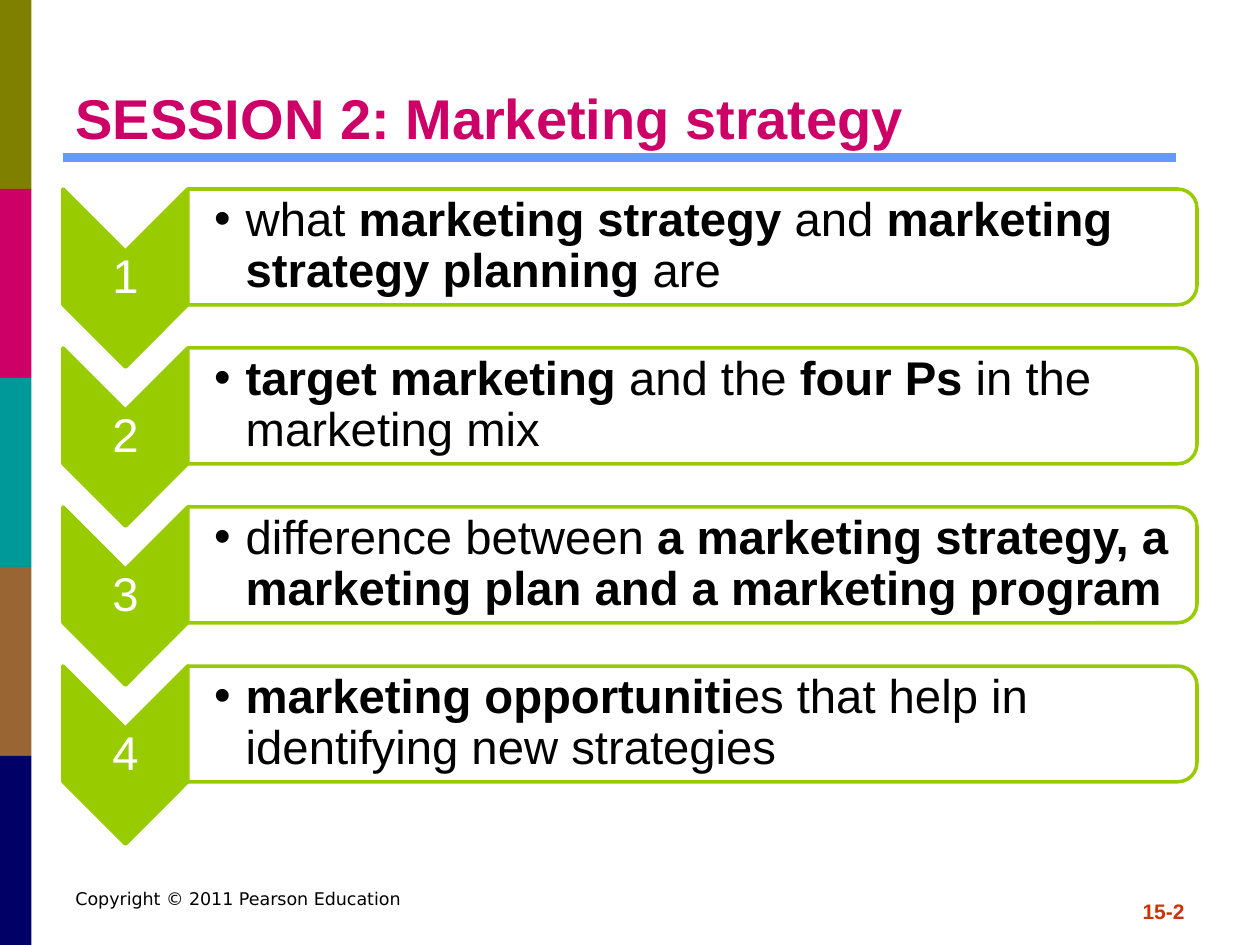
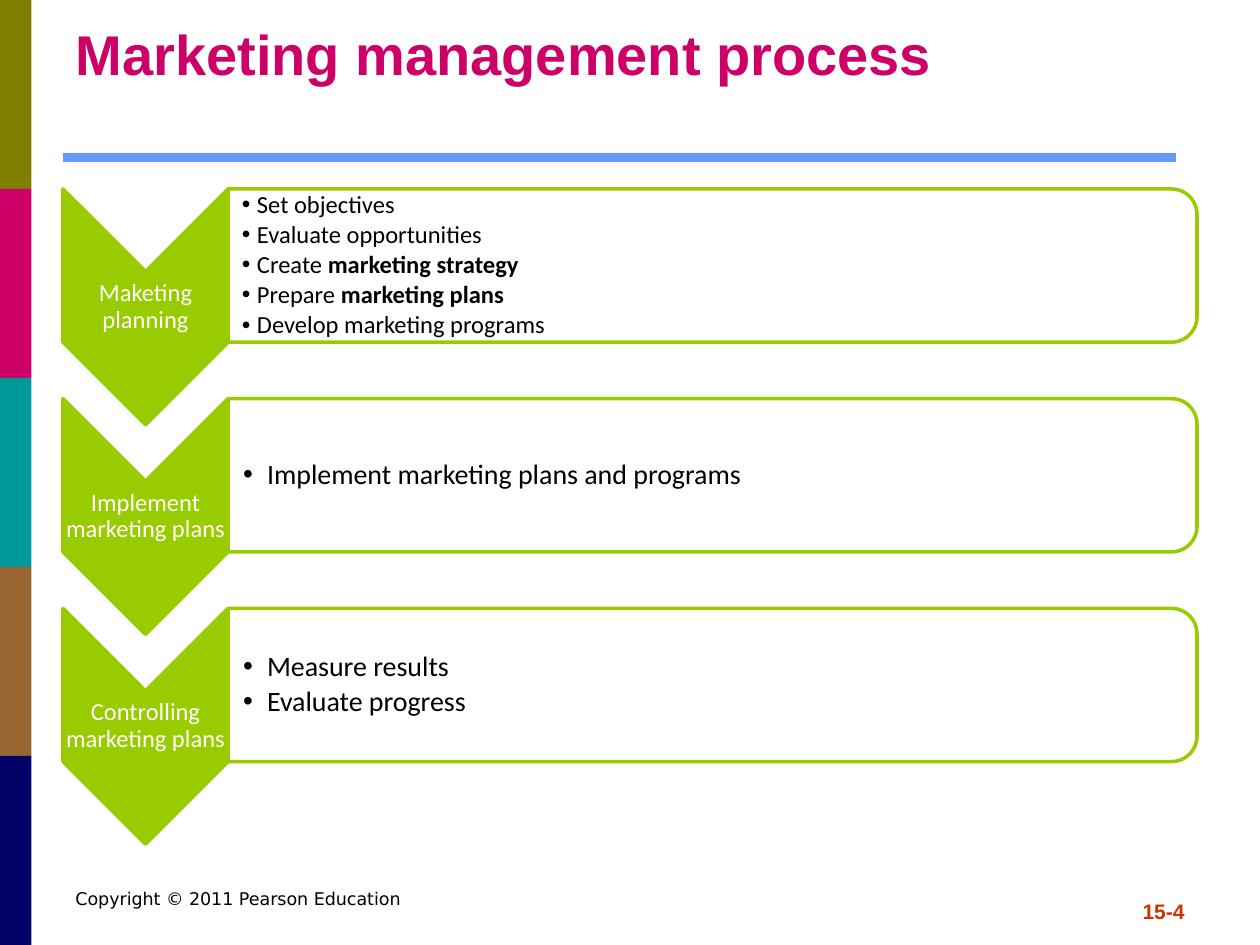
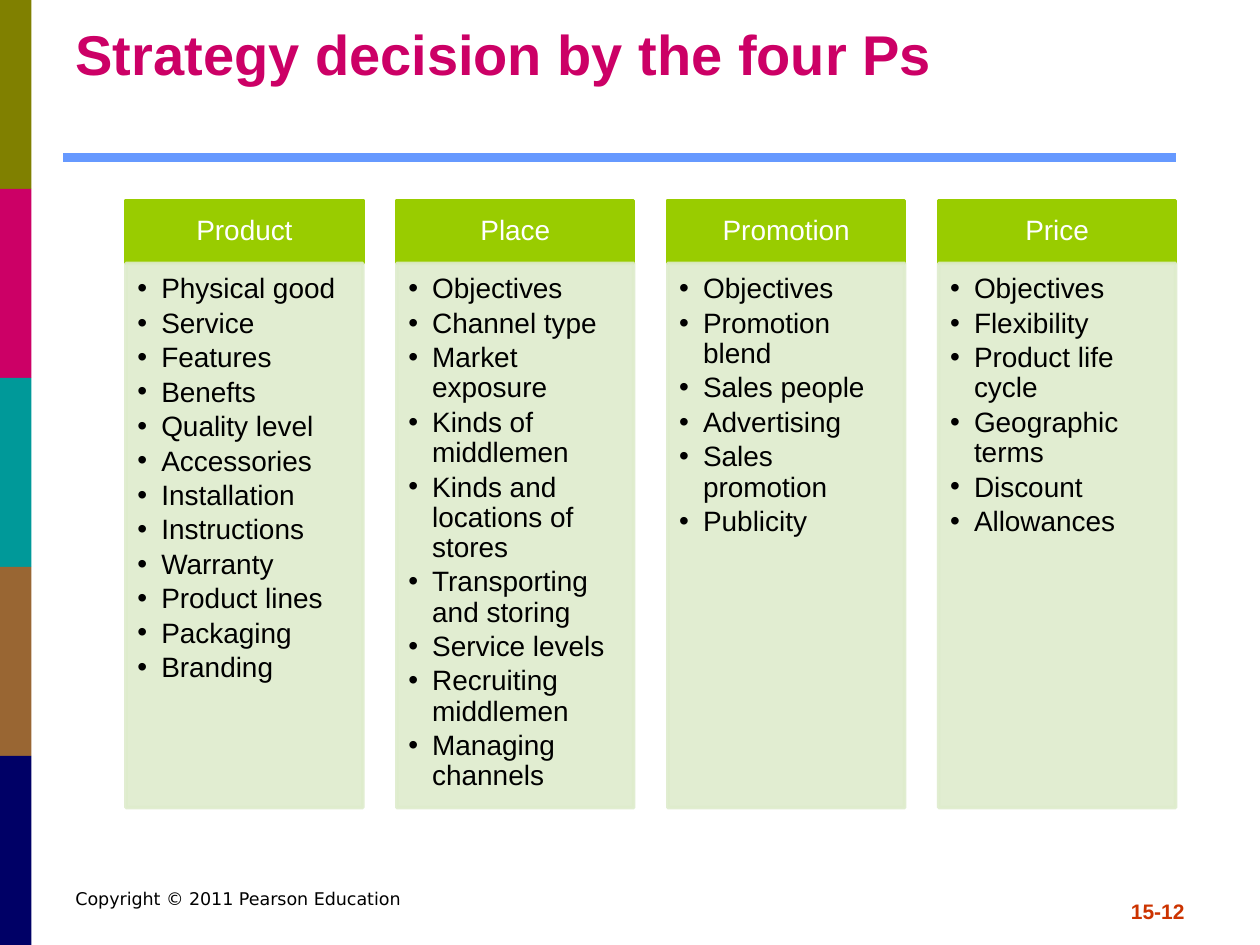
from lxml.etree import SubElement
from pptx import Presentation
from pptx.dml.color import RGBColor
from pptx.enum.shapes import MSO_CONNECTOR, MSO_SHAPE
from pptx.enum.text import MSO_ANCHOR as Anchor, PP_ALIGN as Align
from pptx.oxml.ns import qn
from pptx.util import Inches, Pt

COLORS = {
    "title": "CC0066", "rule": "6699FF", "accent": "99CC00", "tint": "DEECCC",
    "white": "FFFFFF", "text": "000000", "number": "CC3300",
}
BANDS = ["808000", "CC0066", "009999", "996633", "000066"]
WIDTH, HEIGHT = 10, 7.5
MARGIN = 0.5
LIST_TOP, LIST_HEIGHT = 1.5, 5.2
CHEVRON_RATIO, PANEL_RATIO, PANEL_PADDING = 0.7, 0.65, 0.05
COLUMN_LEFT, COLUMN_WIDTH, COLUMN_PITCH = 1, 1.88, 2.15
HEADER_TOP, HEADER_HEIGHT, BODY_HEIGHT = 1.59, 0.5, 4.32
COPYRIGHT = "Copyright © 2011 Pearson Education"

SESSION = {
    "title": "SESSION 2: Marketing strategy", "number": "15-2",
    "column": 0.99, "label_size": 27, "label_inset": 0.02, "font": "Arial",
    "rows": [
        ("1", ["what **marketing strategy **and **marketing strategy planning** are"], 27, 0.25, 0.21),
        ("2", ["**target marketing **and the **four Ps** in the marketing mix"], 27, 0.25, 0.21),
        ("3", ["difference between **a marketing strategy, a marketing plan and a marketing program**"],
         27, 0.25, 0.21),
        ("4", ["**marketing opportuniti**es that help in identifying new strategies"], 27, 0.25, 0.21),
    ],
}
PROCESS = {
    "title": "Marketing management process", "number": "15-4",
    "column": 1.31, "label_size": 14, "label_inset": 0.01, "font": "Calibri",
    "rows": [
        ("Maketing planning",
         ["Set objectives", "Evaluate opportunities", "Create **marketing strategy**",
          "Prepare **marketing plans**", "Develop marketing programs"], 14, 0.12, 0.11),
        ("Implement marketing plans", ["Implement marketing plans and programs"], 16, 0.19, 0.12),
        ("Controlling marketing plans", ["Measure results", "Evaluate progress"], 16, 0.19, 0.12),
    ],
}
FOUR_PS = {
    "title": "Strategy decision by the four Ps", "number": "15-12",
    "columns": {
        "Product": ["Physical good", "Service", "Features", "Benefts", "Quality level", "Accessories",
                    "Installation", "Instructions", "Warranty", "Product lines", "Packaging", "Branding"],
        "Place": ["Objectives", "Channel type", "Market exposure", "Kinds of middlemen",
                  "Kinds and locations of stores", "Transporting and storing", "Service levels",
                  "Recruiting middlemen", "Managing channels"],
        "Promotion": ["Objectives", "Promotion blend", "Sales people", "Advertising",
                      "Sales promotion", "Publicity"],
        "Price": ["Objectives", "Flexibility", "Product life cycle", "Geographic terms",
                  "Discount", "Allowances"],
    },
}


def assign(target, values):
    for name, value in values.items():
        setattr(target, name, value)


def rgb(name):
    return RGBColor.from_string(COLORS.get(name, name))


def box(left, top, width, height):
    return [Inches(value) for value in (left, top, width, height)]


def add_bullet(paragraph, indent):
    properties = paragraph._p.get_or_add_pPr()
    properties.set("marL", str(Inches(indent)))
    properties.set("indent", str(-Inches(indent)))
    SubElement(properties, qn("a:buFont")).set("typeface", "Arial")
    SubElement(properties, qn("a:buChar")).set("char", "•")


def write(shape, lines, size, color="text", font="Arial", bold=False, align=Align.LEFT,
          anchor=Anchor.TOP, insets=(0.1, 0.05, 0.1, 0.05), indent=0, spacing=None, after=0):
    frame = shape.text_frame
    assign(frame, {"word_wrap": True, "vertical_anchor": anchor})
    sides = ("margin_left", "margin_top", "margin_right", "margin_bottom")
    assign(frame, {side: Inches(inset) for side, inset in zip(sides, insets)})
    for index, line in enumerate(lines):
        paragraph = frame.add_paragraph() if index else frame.paragraphs[0]
        assign(paragraph, {"alignment": align, "line_spacing": spacing,
                           "space_before": Pt(0), "space_after": Pt(size * after)})
        if indent:
            add_bullet(paragraph, indent)
        for position, text in enumerate(line.split("**")):
            if text:
                run = paragraph.add_run()
                run.text = text
                assign(run.font, {"size": Pt(size), "name": font, "bold": bold or position % 2 == 1})
                run.font.color.rgb = rgb(color)


def add_shape(slide, kind, place, fill, line=None, opacity=100):
    shape = slide.shapes.add_shape(kind, *box(*place))
    shape.shadow.inherit = False
    shape.fill.solid()
    shape.fill.fore_color.rgb = rgb(fill)
    colors = [shape.fill._xPr.find(qn("a:solidFill"))[0]]
    if line:
        shape.line.width = Pt(2)
        shape.line.color.rgb = rgb(line)
        if line == fill:
            colors.append(shape.line._ln.find(qn("a:solidFill"))[0])
    else:
        shape.line.fill.background()
    if opacity < 100:
        for color in colors:
            SubElement(color, qn("a:alpha")).set("val", str(opacity * 1000))
    return shape


def add_turned(slide, kind, left, top, width, height, fill, opacity=100):
    place = (left + (width - height) / 2, top + (height - width) / 2, height, width)
    add_shape(slide, kind, place, fill, "accent", opacity).rotation = 90


def add_text(slide, place, lines, size, **style):
    write(slide.shapes.add_textbox(*box(*place)), lines, size, **style)


def start_slide(presentation, content, title_bottom):
    slide = presentation.slides.add_slide(presentation.slide_layouts[5])
    rule = slide.shapes.add_connector(MSO_CONNECTOR.STRAIGHT, Inches(MARGIN), Inches(1.25),
                                      Inches(9.33), Inches(1.25))
    rule.line.width = Pt(5)
    rule.line.color.rgb = rgb("rule")
    SubElement(rule._element.spPr, qn("a:effectLst"))
    band_height = HEIGHT / len(BANDS)
    for index, color in enumerate(BANDS):
        add_shape(slide, MSO_SHAPE.RECTANGLE, (0, index * band_height, 0.25, band_height), color)
    title = slide.shapes.title
    assign(title, dict(zip(("left", "top", "width", "height"), box(MARGIN, 0.3, 9, 0.95))))
    write(title, [content["title"]], 32, color="title", bold=True, anchor=Anchor.BOTTOM,
          insets=(0.1, 0.05, 0.1, title_bottom))
    add_text(slide, (7.17, 7.08, 2.33, 0.25), [content["number"]], 12,
             color="number", bold=True, align=Align.RIGHT)
    add_text(slide, (MARGIN, 7, 6.08, 0.5), [COPYRIGHT], 10, font="DejaVu Sans")
    return slide


def add_chevron_list(slide, content):
    column, rows, inset = content["column"], content["rows"], content["label_inset"]
    length = column / CHEVRON_RATIO
    panel_height = length * PANEL_RATIO
    panel_left, panel_width = MARGIN + column, WIDTH - 2 * MARGIN - column
    padding = panel_height * PANEL_PADDING
    pitch = (LIST_HEIGHT - length) / (len(rows) - 1)
    for index, (label, items, size, indent, left_inset) in enumerate(rows):
        top = LIST_TOP + index * pitch
        add_turned(slide, MSO_SHAPE.CHEVRON, MARGIN, top, column, length, "accent")
        add_text(slide, (MARGIN, top + column / 2, column, length - column), [label],
                 content["label_size"], color="white", font=content["font"], align=Align.CENTER,
                 anchor=Anchor.MIDDLE, insets=[inset] * 4, spacing=0.9, after=0.35)
        add_turned(slide, MSO_SHAPE.ROUND_2_SAME_RECTANGLE, panel_left, top, panel_width,
                   panel_height, "white", 90)
        add_text(slide, (panel_left, top + padding, panel_width - padding, panel_height - 2 * padding),
                 items, size, font=content["font"], anchor=Anchor.MIDDLE,
                 insets=(left_inset, inset, inset, inset), indent=indent, spacing=0.9, after=0.15)


def add_columns(slide, columns):
    for index, (heading, items) in enumerate(columns.items()):
        left = COLUMN_LEFT + index * COLUMN_PITCH
        header = add_shape(slide, MSO_SHAPE.RECTANGLE, (left, HEADER_TOP, COLUMN_WIDTH, HEADER_HEIGHT),
                           "accent", "accent")
        write(header, [heading], 16, color="white", align=Align.CENTER, anchor=Anchor.MIDDLE,
              insets=(0.12, 0.07, 0.12, 0.07), spacing=0.9, after=0.35)
        body = add_shape(slide, MSO_SHAPE.RECTANGLE,
                         (left, HEADER_TOP + HEADER_HEIGHT, COLUMN_WIDTH, BODY_HEIGHT),
                         "tint", "tint", 90)
        write(body, items, 16, insets=(0.09, 0.09, 0.12, 0.14), indent=0.19, spacing=0.9, after=0.15)


def main():
    presentation = Presentation()
    assign(presentation, {"slide_width": Inches(WIDTH), "slide_height": Inches(HEIGHT)})
    add_chevron_list(start_slide(presentation, SESSION, 0.05), SESSION)
    add_chevron_list(start_slide(presentation, PROCESS, 0.56), PROCESS)
    add_columns(start_slide(presentation, FOUR_PS, 0.56), FOUR_PS["columns"])
    presentation.save("out.pptx")


if __name__ == "__main__":
    main()
